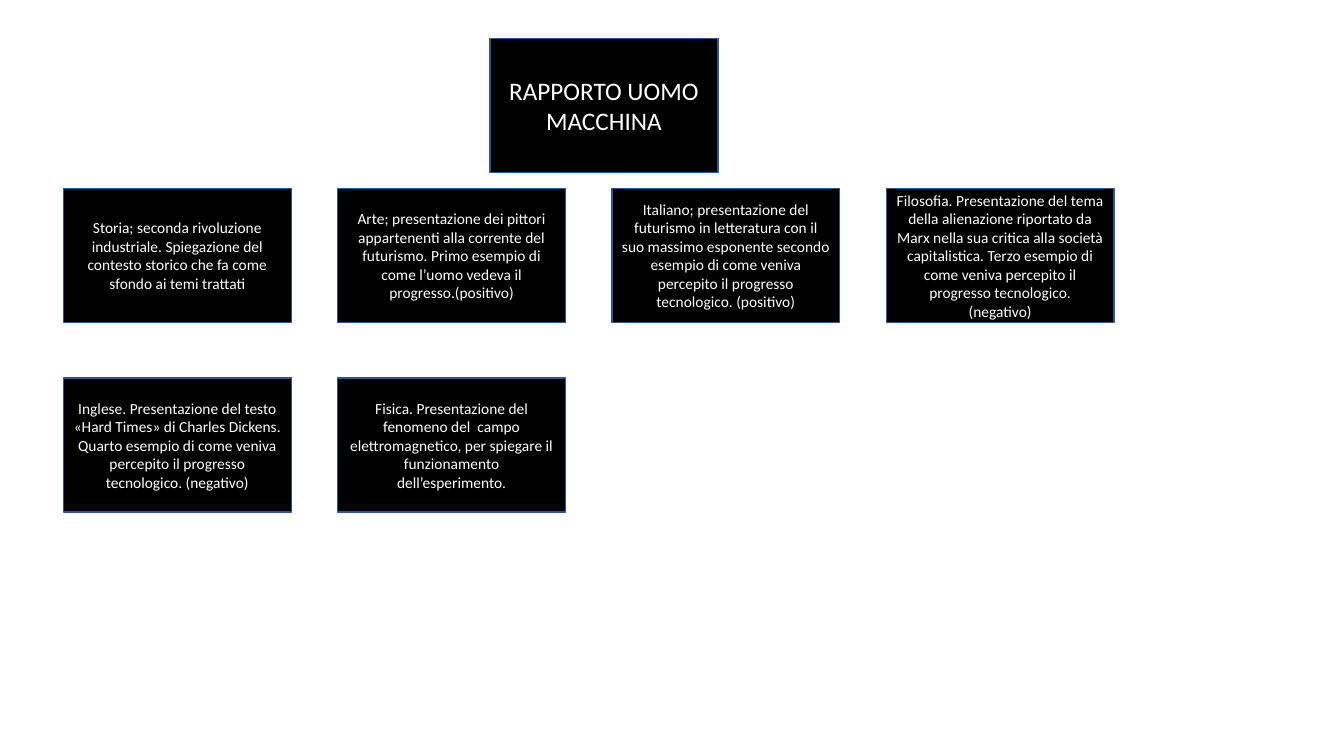
"""Build a slide of school subjects linked to the theme of man and machine."""
from pptx import Presentation, util as u
from pptx.dml.color import RGBColor
from pptx.enum import shapes, text

THEME = "RAPPORTO UOMO MACCHINA"
SUBJECT_ROWS = [
    [
        "Storia; seconda rivoluzione industriale. Spiegazione del contesto "
        "storico che fa come sfondo ai temi trattati",
        "Arte; presentazione dei pittori appartenenti alla corrente del futurismo. "
        "Primo esempio di come l’uomo vedeva il progresso.(positivo)",
        "Italiano; presentazione del futurismo in letteratura con il suo massimo "
        "esponente secondo esempio di come veniva percepito il progresso "
        "tecnologico. (positivo)",
        "Filosofia. Presentazione del tema della alienazione riportato da Marx "
        "nella sua critica alla società capitalistica. Terzo esempio di come "
        "veniva percepito il progresso tecnologico. (negativo)",
    ],
    [
        "Inglese. Presentazione del testo «Hard Times» di Charles Dickens. Quarto "
        "esempio di come veniva percepito il progresso tecnologico. (negativo)",
        "Fisica. Presentazione del fenomeno del  campo elettromagnetico, per "
        "spiegare il funzionamento dell’esperimento.",
    ],
]

BLACK = RGBColor(0x00, 0x00, 0x00)
WHITE = RGBColor(0xFF, 0xFF, 0xFF)
BORDER_BLUE = RGBColor(0x32, 0x54, 0x91)

CARD_WIDTH, CARD_HEIGHT = 2.26, 1.33
GRID_LEFT, GRID_TOP = 0.63, 1.87
COLUMN_STEP, ROW_STEP = 2.72, 1.88
THEME_LEFT, THEME_TOP = 4.86, 0.38


def write(card, wording, size=11, color=WHITE, font="Calibri"):
    """Put centred, formatted wording in a card."""
    frame = card.text_frame
    frame.text = wording
    frame.word_wrap = True
    frame.auto_size = text.MSO_AUTO_SIZE.NONE
    frame.vertical_anchor = text.MSO_ANCHOR.MIDDLE
    paragraph = frame.paragraphs[0]
    paragraph.alignment = text.PP_ALIGN.CENTER
    run_font = paragraph.runs[0].font
    run_font.name, run_font.size = font, u.Pt(size)
    run_font.color.rgb = color


def style(card):
    """Give a card its black fill and thin blue border."""
    card.shadow.inherit = False
    card.fill.solid()
    card.fill.fore_color.rgb = BLACK
    card.line.color.rgb = BORDER_BLUE
    card.line.width = u.Pt(1)


deck = Presentation()
deck.slide_width, deck.slide_height = u.Inches(13.33), u.Inches(7.5)
slide = deck.slides.add_slide(deck.slide_layouts.get_by_name("Title Only"))

theme = slide.shapes.title
theme.left, theme.top = u.Inches(THEME_LEFT), u.Inches(THEME_TOP)
theme.width, theme.height = u.Inches(CARD_WIDTH), u.Inches(CARD_HEIGHT)
style(theme)
write(theme, THEME, size=18)

for row, subjects in enumerate(SUBJECT_ROWS):
    for column, subject in enumerate(subjects):
        subject_card = slide.shapes.add_shape(
            shapes.MSO_SHAPE.RECTANGLE,
            u.Inches(GRID_LEFT + column * COLUMN_STEP),
            u.Inches(GRID_TOP + row * ROW_STEP),
            u.Inches(CARD_WIDTH),
            u.Inches(CARD_HEIGHT),
        )
        style(subject_card)
        write(subject_card, subject)

deck.save("out.pptx")
